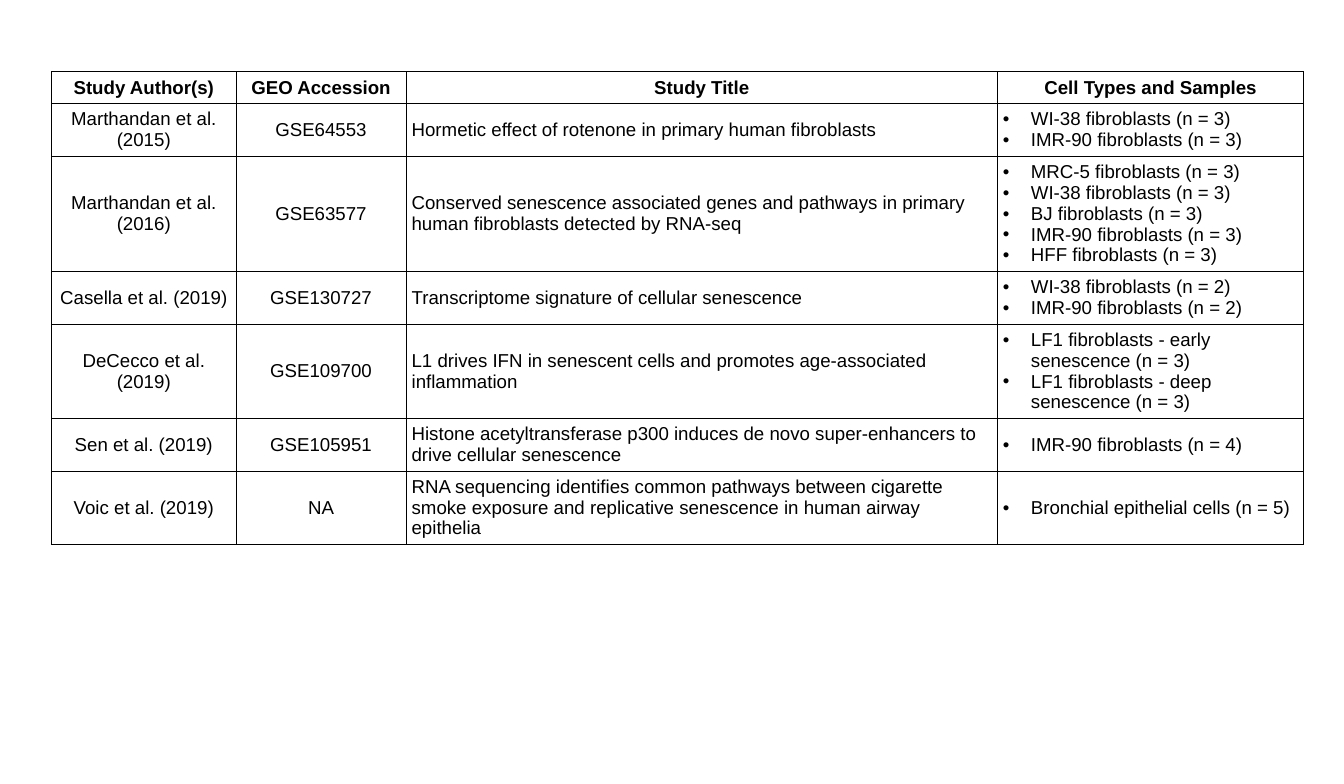
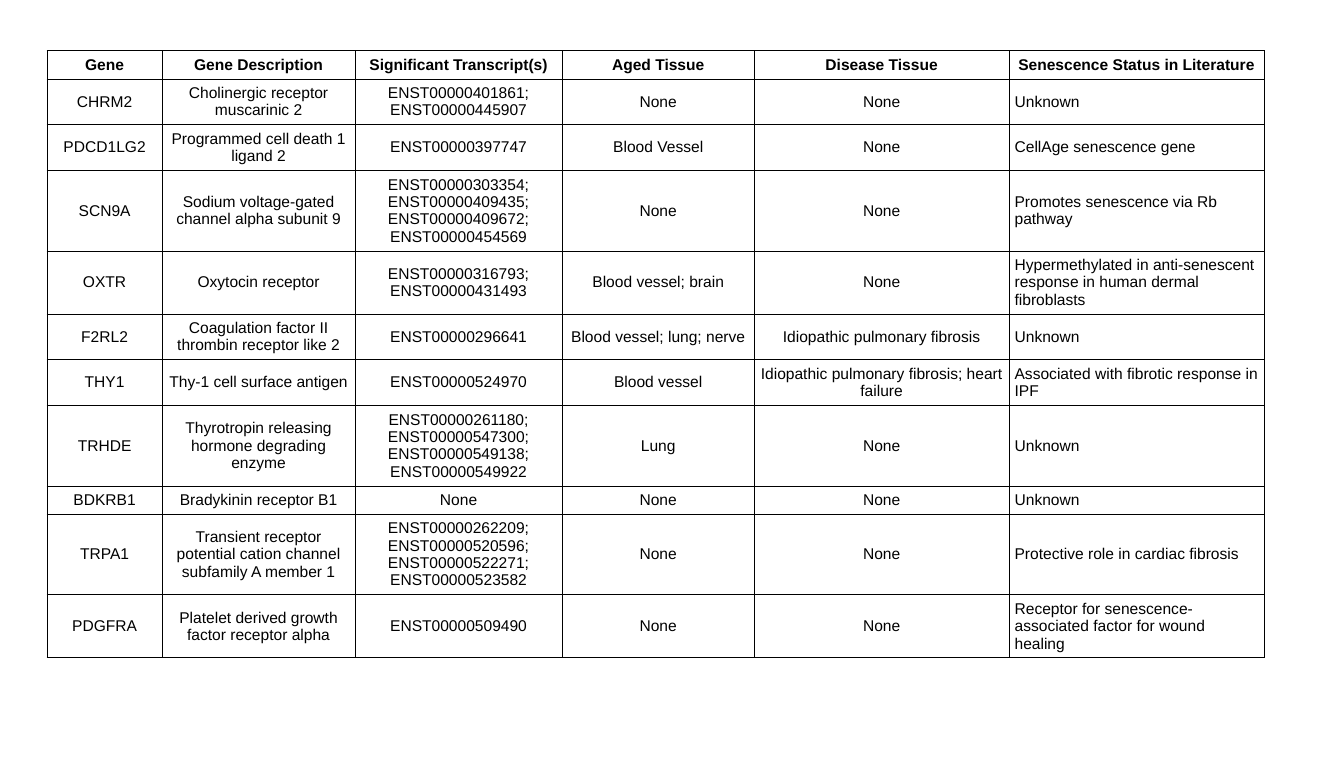
"""Build two slides of tables on senescence studies and genes."""
from lxml import etree
from pptx import Presentation
from pptx.dml.color import RGBColor
from pptx.enum import text as t
from pptx.oxml import ns
from pptx.util import Cm, Pt

BLACK = RGBColor(0x00, 0x00, 0x00)
WHITE = RGBColor(0xFF, 0xFF, 0xFF)
LEFT, CENTER = t.PP_ALIGN.LEFT, t.PP_ALIGN.CENTER

STUDY_COLUMNS = (
    ("Study Author(s)", 8.36, {"align": CENTER}),
    ("GEO Accession", 7.72, {"align": CENTER}),
    ("Study Title", 26.82, {"align": LEFT}),
    ("Cell Types and Samples", 13.89, {"align": LEFT, "bullet": "•"}),
)
STUDIES = (
    ("Marthandan et al. (2015)", "GSE64553",
     "Hormetic effect of rotenone in primary human fibroblasts",
     "WI-38 fibroblasts (n = 3)\nIMR-90 fibroblasts (n = 3)"),
    ("Marthandan et al. (2016)", "GSE63577",
     "Conserved senescence associated genes and pathways in primary human "
     "fibroblasts detected by RNA-seq",
     "MRC-5 fibroblasts (n = 3)\nWI-38 fibroblasts (n = 3)\nBJ fibroblasts (n = 3)\n"
     "IMR-90 fibroblasts (n = 3)\nHFF fibroblasts (n = 3)"),
    ("Casella et al. (2019)", "GSE130727",
     "Transcriptome signature of cellular senescence",
     "WI-38 fibroblasts (n = 2)\nIMR-90 fibroblasts (n = 2)"),
    ("DeCecco et al. (2019)", "GSE109700",
     "L1 drives IFN in senescent cells and promotes age-associated inflammation",
     "LF1 fibroblasts - early senescence (n = 3)\n"
     "LF1 fibroblasts - deep senescence (n = 3)"),
    ("Sen et al. (2019)", "GSE105951",
     "Histone acetyltransferase p300 induces de novo super-enhancers to drive "
     "cellular senescence",
     "IMR-90 fibroblasts (n = 4)"),
    ("Voic et al. (2019)", "NA",
     "RNA sequencing identifies common pathways between cigarette smoke exposure "
     "and replicative senescence in human airway epithelia",
     "Bronchial epithelial cells (n = 5)"),
)

GENE_COLUMNS = (
    ("Gene", 5.23, {"align": CENTER}),
    ("Gene Description", 8.74, {"align": CENTER}),
    ("Significant Transcript(s)", 9.4, {"align": CENTER}),
    ("Aged Tissue", 8.71, {"align": CENTER}),
    ("Disease Tissue", 11.56, {"align": CENTER}),
    ("Senescence Status in Literature", 11.56, {"align": LEFT}),
)
GENES = (
    ("CHRM2", "Cholinergic receptor muscarinic 2",
     "ENST00000401861; ENST00000445907", "None", "None", "Unknown"),
    ("PDCD1LG2", "Programmed cell death 1 ligand 2",
     "ENST00000397747", "Blood Vessel", "None", "CellAge senescence gene"),
    ("SCN9A", "Sodium voltage-gated channel alpha subunit 9",
     "ENST00000303354; ENST00000409435; ENST00000409672; ENST00000454569",
     "None", "None", "Promotes senescence via Rb pathway"),
    ("OXTR", "Oxytocin receptor",
     "ENST00000316793; ENST00000431493", "Blood vessel; brain", "None",
     "Hypermethylated in anti-senescent response in human dermal fibroblasts"),
    ("F2RL2", "Coagulation factor II thrombin receptor like 2",
     "ENST00000296641", "Blood vessel; lung; nerve",
     "Idiopathic pulmonary fibrosis", "Unknown"),
    ("THY1", "Thy-1 cell surface antigen",
     "ENST00000524970", "Blood vessel",
     "Idiopathic pulmonary fibrosis; heart failure",
     "Associated with fibrotic response in IPF"),
    ("TRHDE", "Thyrotropin releasing hormone degrading enzyme",
     "ENST00000261180; ENST00000547300; ENST00000549138; ENST00000549922",
     "Lung", "None", "Unknown"),
    ("BDKRB1", "Bradykinin receptor B1", "None", "None", "None", "Unknown"),
    ("TRPA1", "Transient receptor potential cation channel subfamily A member 1",
     "ENST00000262209; ENST00000520596; ENST00000522271; ENST00000523582",
     "None", "None", "Protective role in cardiac fibrosis"),
    ("PDGFRA", "Platelet derived growth factor receptor alpha",
     "ENST00000509490", "None", "None",
     "Receptor for senescence-associated factor for wound healing"),
)


def write_text(frame, content, *, size, font="Arial", color=BLACK, bold=False,
               align=LEFT, bullet=None):
    for index, line in enumerate(content.split("\n")):
        paragraph = frame.add_paragraph() if index else frame.paragraphs[0]
        paragraph.alignment = align
        if bullet:
            properties = paragraph._p.get_or_add_pPr()
            properties.set("marL", str(Cm(1.27)))
            properties.set("indent", str(-Cm(1.27)))
            etree.SubElement(properties, ns.qn("a:buFont"), typeface=font)
            etree.SubElement(properties, ns.qn("a:buChar"), char=bullet)
        run = paragraph.add_run()
        run.text = line
        run.font.size = Pt(size)
        run.font.name = font
        run.font.bold = bold
        run.font.color.rgb = color


class Deck:
    row_height = Cm(1.04)
    padding = Cm(0.25)
    border_width = Pt(1)

    def __init__(self):
        self.presentation = Presentation()
        self.presentation.slide_width = Cm(60.96)
        self.presentation.slide_height = Cm(35.56)
        self.slide = None

    def add_slide(self):
        self.slide = self.presentation.slides.add_slide(
            self.presentation.slide_layouts[6])

    def style_cell(self, cell):
        properties = cell._tc.get_or_add_tcPr()
        for side in "LRTB":
            line = etree.SubElement(properties, ns.qn(f"a:ln{side}"),
                                    w=str(self.border_width))
            fill = etree.SubElement(line, ns.qn("a:solidFill"))
            etree.SubElement(fill, ns.qn("a:srgbClr"), val=str(BLACK))
        cell.fill.solid()
        cell.fill.fore_color.rgb = WHITE
        cell.vertical_anchor = t.MSO_ANCHOR.MIDDLE
        cell.margin_left = cell.margin_right = self.padding
        cell.margin_top = cell.margin_bottom = self.padding

    def add_table(self, left, top, columns, records, size):
        headings, widths, formats = zip(*columns)
        row_count = len(records) + 1
        table = self.slide.shapes.add_table(
            row_count, len(columns), Cm(left), Cm(top),
            Cm(sum(widths)), self.row_height * row_count).table
        table.first_row = table.horz_banding = False
        for column, width in zip(table.columns, widths):
            column.width = Cm(width)
        for row_index, record in enumerate((headings, *records)):
            for column_index, content in enumerate(record):
                cell = table.cell(row_index, column_index)
                self.style_cell(cell)
                style = (formats[column_index] if row_index
                         else {"align": CENTER, "bold": True})
                write_text(cell.text_frame, content, size=size, **style)


def main():
    deck = Deck()
    deck.add_slide()
    deck.add_table(2.34, 3.25, STUDY_COLUMNS, STUDIES, size=24)
    deck.add_slide()
    deck.add_table(2.13, 2.29, GENE_COLUMNS, GENES, size=20)
    deck.presentation.save("out.pptx")


if __name__ == "__main__":
    main()
